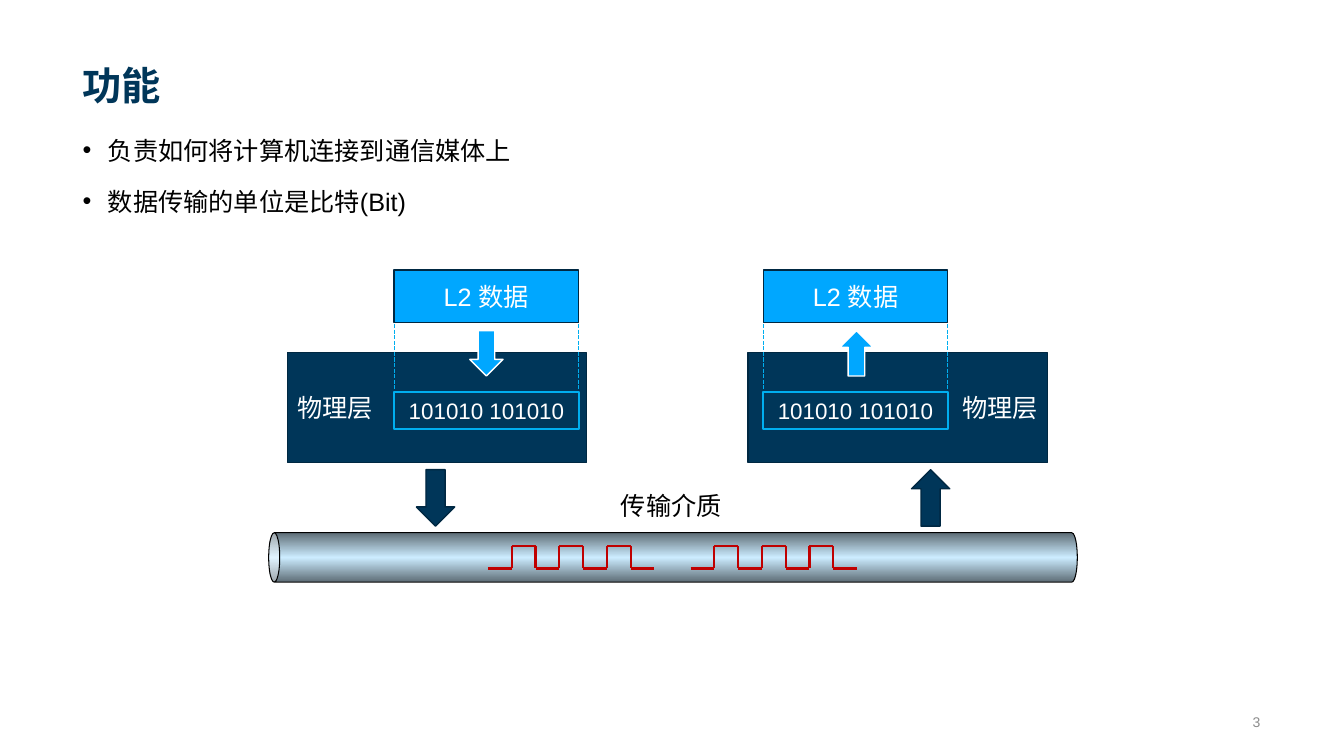
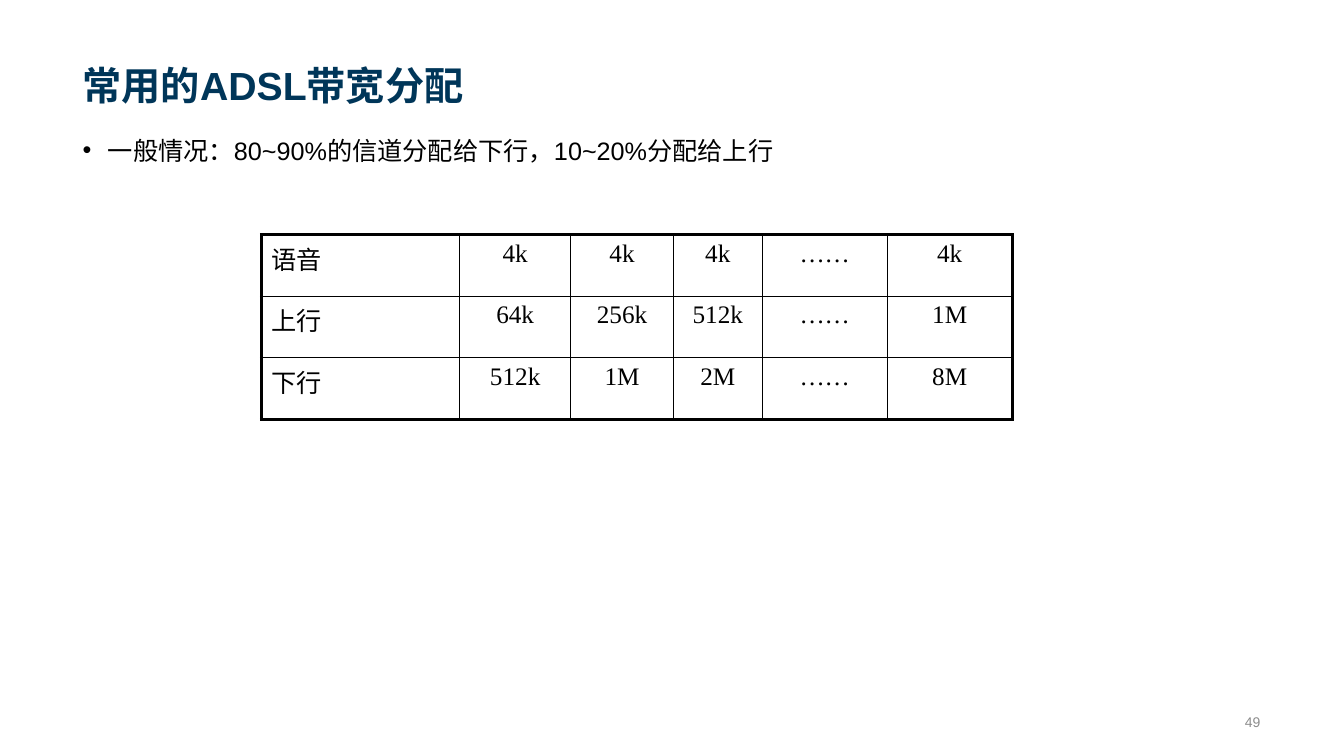
from copy import deepcopy
from dataclasses import dataclass
from itertools import pairwise

from lxml import etree
from pptx import Presentation
from pptx.dml.color import RGBColor
from pptx.enum.dml import MSO_LINE
from pptx.enum.lang import MSO_LANGUAGE_ID
from pptx.enum.shapes import MSO_CONNECTOR, MSO_SHAPE
from pptx.enum.text import MSO_ANCHOR, MSO_AUTO_SIZE, PP_ALIGN
from pptx.oxml.ns import qn
from pptx.util import Inches, Pt

LEFT, CENTER, RIGHT = PP_ALIGN.LEFT, PP_ALIGN.CENTER, PP_ALIGN.RIGHT
TOP, MIDDLE, BOTTOM = MSO_ANCHOR.TOP, MSO_ANCHOR.MIDDLE, MSO_ANCHOR.BOTTOM
RECT, CAN = MSO_SHAPE.RECTANGLE, MSO_SHAPE.CAN
DOWN_ARROW, UP_ARROW = MSO_SHAPE.DOWN_ARROW, MSO_SHAPE.UP_ARROW
STRAIGHT, SYS_DASH = MSO_CONNECTOR.STRAIGHT, MSO_LINE.SQUARE_DOT
CHINESE = MSO_LANGUAGE_ID.SIMPLIFIED_CHINESE

SANS, SERIF = "Arial", "Times New Roman"
NAVY, EDGE, BLUE, CYAN = "003659", "002842", "00A7FF", "00AEEF"
BLACK, WHITE, GRAY, RED = "000000", "FFFFFF", "8C8C8C", "C00000"
PIPE_DARK, PIPE_LIGHT = "5E6D76", "CCECFF"
MARGIN, CONTENT_W = 0.72, 11.88


@dataclass
class Host:
    """One end of the link; sending hosts push data down, others lift it up."""
    left: float
    data_left: float
    data_arrow_left: float
    bit_arrow_left: float
    align: PP_ALIGN
    sends: bool


HOSTS = [
    Host(2.85, 3.91, 4.66, 4.13, LEFT, True),
    Host(7.42, 7.57, 8.33, 9.04, RIGHT, False),
]
DATA_W = 1.83
DATA_MIDDLE, BITS_MIDDLE = 2.94, 4.08
PULSE_LEFTS = (4.84, 6.85)
PULSE_W, PULSE_HIGH, PULSE_LOW, PULSE_STEPS = 1.65, 5.42, 5.64, 7

BANDWIDTH = [
    ["语音", "4k", "4k", "4k", "……", "4k"],
    ["上行", "64k", "256k", "512k", "……", "1M"],
    ["下行", "512k", "1M", "2M", "……", "8M"],
]
COL_WIDTHS = [1.97, 1.1, 1.02, 0.88, 1.24, 1.24]
ROW_H = 0.61


def rgb(color: str) -> RGBColor:
    return RGBColor.from_string(color)


def place(shape, left: float, top: float, width: float, height: float) -> None:
    shape.left, shape.top = Inches(left), Inches(top)
    shape.width, shape.height = Inches(width), Inches(height)


def add_run(p, text: str, size: float, color: str, font: str = SANS,
            bold: bool = False) -> None:
    r = p.add_run()
    r.text = text
    r.font.name, r.font.size, r.font.bold = font, Pt(size), bold
    r.font.color.rgb = rgb(color)
    r.font.language_id = CHINESE


def add_text(s, text: str, left: float, top: float, width: float, height: float,
             size: float, color: str, align: PP_ALIGN, wrap: bool = True) -> None:
    tf = s.shapes.add_textbox(Inches(left), Inches(top),
                              Inches(width), Inches(height)).text_frame
    tf.word_wrap = wrap
    tf.auto_size = MSO_AUTO_SIZE.NONE if wrap else MSO_AUTO_SIZE.SHAPE_TO_FIT_TEXT
    tf.vertical_anchor = MIDDLE if wrap else TOP
    p = tf.paragraphs[0]
    p.alignment = align
    add_run(p, text, size, color)


def add_box(s, kind: MSO_SHAPE, left: float, top: float, width: float,
            height: float, fill: str | None, line: str, weight: float = 1,
            text: str = "", size: float = 18, align: PP_ALIGN = CENTER):
    sp = s.shapes.add_shape(kind, Inches(left), Inches(top),
                            Inches(width), Inches(height))
    sp.shadow.inherit = False
    if fill:
        sp.fill.solid()
        sp.fill.fore_color.rgb = rgb(fill)
    else:
        sp.fill.background()
    sp.line.color.rgb, sp.line.width = rgb(line), Pt(weight)
    if text:
        p = sp.text_frame.paragraphs[0]
        p.alignment = align
        add_run(p, text, size, WHITE)
    return sp


def add_line(s, x1: float, y1: float, x2: float, y2: float, color: str,
             weight: float):
    line = s.shapes.add_connector(STRAIGHT, Inches(x1), Inches(y1),
                                  Inches(x2), Inches(y2))
    line.line.color.rgb, line.line.width = rgb(color), Pt(weight)
    etree.SubElement(line._element.spPr, qn("a:effectLst"))
    return line


def add_bullet(p) -> None:
    pPr = p._p.get_or_add_pPr()
    pPr.set("marL", str(Inches(0.25)))
    pPr.set("indent", str(-Inches(0.25)))
    etree.SubElement(pPr, qn("a:buChar")).set("char", "•")


def add_content_slide(prs, title: str, bullets: list[str], body_h: float, number: str):
    """Title, bullet list and page number shared by all slides."""
    s = prs.slides.add_slide(prs.slide_layouts[1])
    head, body = s.shapes.title, s.placeholders[1]
    place(head, MARGIN, 0.15, CONTENT_W, 0.98)
    place(body, MARGIN, 1.23, CONTENT_W, body_h)
    for sp, anchor in ((head, BOTTOM), (body, TOP)):
        sp.text_frame.auto_size = MSO_AUTO_SIZE.NONE
        sp.text_frame.vertical_anchor = anchor
    p = head.text_frame.paragraphs[0]
    p.alignment = LEFT
    add_run(p, title, 28, NAVY, bold=True)

    tf = body.text_frame
    for i, text in enumerate(bullets):
        p = tf.add_paragraph() if i else tf.paragraphs[0]
        add_bullet(p)
        p.line_spacing = 1.2
        p.space_before = Pt(10.5 if i else 0)
        add_run(p, text, 18, BLACK)
    add_text(s, number, 8.5, 7.01, 4.1, 0.3, 10, GRAY, RIGHT)
    return s


def add_pipe(s) -> None:
    """Cable lying on its side, lit along the middle."""
    pipe = add_box(s, CAN, 6.43, 1.52, 0.49, 8.02, None, BLACK, 0.75)
    pipe.rotation = 270
    pipe.adjustments[0] = 0.224
    pipe.fill.gradient()
    pipe.fill.gradient_angle = 0
    stops = pipe._element.spPr.find(qn("a:gradFill")).find(qn("a:gsLst"))
    stops.append(deepcopy(stops[0]))
    colors = (PIPE_DARK, PIPE_LIGHT, PIPE_DARK)
    for stop, pos, color in zip(pipe.fill.gradient_stops, (0, 0.5, 1), colors):
        stop.position = pos
        stop.color.rgb = rgb(color)


def add_pulses(s, left: float) -> None:
    """Square wave that alternates between low and high levels."""
    step = PULSE_W / PULSE_STEPS
    points = []
    for i in range(PULSE_STEPS):
        y = PULSE_HIGH if i % 2 else PULSE_LOW
        points += [(left + i * step, y), (left + (i + 1) * step, y)]
    for start, end in pairwise(points):
        add_line(s, *start, *end, RED, 1.5)


def add_host(s, host: Host) -> None:
    arrow = DOWN_ARROW if host.sends else UP_ARROW
    add_box(s, RECT, host.left, 3.5, 2.97, 1.09, NAVY, EDGE,
            text="物理层", align=host.align)
    bits = add_box(s, RECT, host.data_left, 3.89, DATA_W, 0.37, None, CYAN, 1.25,
                   "101010 101010", 16)
    add_box(s, arrow, host.bit_arrow_left, 4.66, 0.38, 0.56, NAVY, EDGE)
    # Guides lie behind the data block, from its sides to those of the bits
    guides = {}
    for side, x in ((1, host.data_left), (3, host.data_left + DATA_W)):
        guides[side] = add_line(s, x, DATA_MIDDLE, x, BITS_MIDDLE, CYAN, 1)
        guides[side].line.dash_style = SYS_DASH
    data = add_box(s, RECT, host.data_left, 2.68, DATA_W, 0.52, BLUE, EDGE,
                   text="L2 数据")
    for side, guide in guides.items():
        guide.begin_connect(data, side)
        guide.end_connect(bits, side)
    add_box(s, arrow, host.data_arrow_left, 3.28, 0.33, 0.45, BLUE, WHITE)


def set_border(cell, side: str, weight: float) -> None:
    ln = etree.SubElement(cell._tc.get_or_add_tcPr(), qn(f"a:{side}"))
    ln.set("w", str(Pt(weight)))
    fill = etree.SubElement(ln, qn("a:solidFill"))
    etree.SubElement(fill, qn("a:srgbClr")).set("val", BLACK)


def add_bandwidth_table(s) -> None:
    rows, cols = len(BANDWIDTH), len(COL_WIDTHS)
    table = s.shapes.add_table(rows, cols, Inches(2.59), Inches(2.33),
                               Inches(sum(COL_WIDTHS)), Inches(rows * ROW_H)).table
    table.first_row = table.horz_banding = False
    for column, width in zip(table.columns, COL_WIDTHS):
        column.width = Inches(width)
    for i, row in enumerate(BANDWIDTH):
        table.rows[i].height = Inches(ROW_H)
        for j, text in enumerate(row):
            cell = table.cell(i, j)
            outer = {"lnL": j == 0, "lnR": j == cols - 1,
                     "lnT": i == 0, "lnB": i == rows - 1}
            for side, thick in outer.items():
                set_border(cell, side, 2.25 if thick else 1)
            cell.fill.background()
            p = cell.text_frame.paragraphs[0]
            p.alignment = CENTER if j else LEFT
            add_run(p, text, 18, BLACK, SERIF)


def main() -> None:
    prs = Presentation()
    prs.slide_width, prs.slide_height = Inches(13.33), Inches(7.5)

    # Physical layer function
    s = add_content_slide(prs, "功能", ["负责如何将计算机连接到通信媒体上",
                                      "数据传输的单位是比特(Bit)"], 5.47, "3")
    add_pipe(s)
    for left in PULSE_LEFTS:
        add_pulses(s, left)
    for host in HOSTS:
        add_host(s, host)
    add_text(s, "传输介质", 6.06, 4.82, 1.21, 0.4, 18, BLACK, LEFT, wrap=False)

    # ADSL bandwidth
    s = add_content_slide(prs, "常用的ADSL带宽分配",
                          ["一般情况：80~90%的信道分配给下行，10~20%分配给上行"],
                          1.38, "49")
    add_bandwidth_table(s)

    prs.save("out.pptx")


if __name__ == "__main__":
    main()
